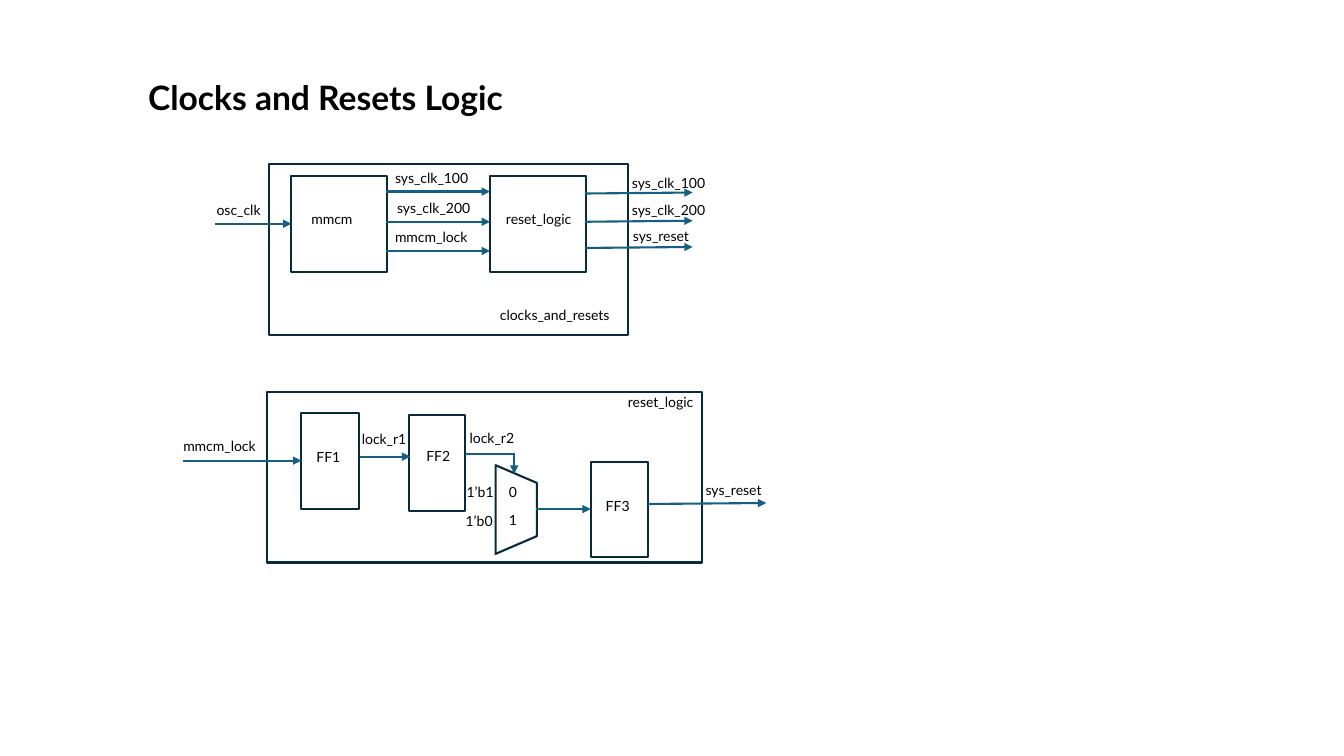
from dataclasses import dataclass

from lxml import etree
from pptx import Presentation
from pptx.dml.color import RGBColor
from pptx.enum.shapes import MSO_CONNECTOR, MSO_SHAPE
from pptx.enum.text import MSO_AUTO_SIZE
from pptx.oxml.ns import qn
from pptx.slide import Slide
from pptx.util import Emu, Pt

RECT = MSO_SHAPE.RECTANGLE
MUX = MSO_SHAPE.FLOWCHART_MANUAL_OPERATION
STRAIGHT = MSO_CONNECTOR.STRAIGHT
FIT_TEXT = MSO_AUTO_SIZE.SHAPE_TO_FIT_TEXT
PX = 9144
FONT = "Lato"
INK, OUTLINE, WIRE = "000000", "092A39", "156082"
LINE_PT = 1.5


@dataclass(frozen=True)
class Block:
    x: int
    y: int
    w: int
    h: int
    kind: MSO_SHAPE = RECT
    rotation: int = 0


@dataclass(frozen=True)
class Wire:
    x1: int
    y1: int
    x2: int
    y2: int
    arrow: bool = True


@dataclass(frozen=True)
class Label:
    text: str
    x: int
    y: int
    w: int
    h: int = 27
    size: int = 10
    bold: bool = False


BLOCKS = [
    Block(289, 175, 95, 95),
    Block(486, 175, 95, 95),
    Block(267, 163, 356, 169),
    Block(299, 410, 57, 95),
    Block(406, 412, 55, 95),
    Block(586, 458, 57, 95),
    Block(265, 389, 431, 169),
    Block(468, 485, 88, 41, MUX, 270),
]

WIRES = [
    Wire(213, 222, 289, 222),
    *(Wire(383, y, 486, y) for y in (190, 220, 249)),
    *(Wire(580, y, 687, y - 1) for y in (192, 220, 246)),
    Wire(182, 457, 299, 457),
    Wire(357, 453, 407, 453),
    Wire(461, 450, 511, 450, arrow=False),
    Wire(510, 450, 510, 470),
    Wire(532, 505, 586, 505),
    Wire(642, 500, 760, 499),
]

LABELS = [
    Label("Clocks and Resets Logic", 137, 71, 411, 50, 24, True),
    Label("osc_clk", 205, 195, 77),
    Label("mmcm", 299, 204, 77),
    Label("sys_clk_100", 382, 163, 97),
    Label("sys_clk_200", 384, 193, 97),
    Label("mmcm_lock", 382, 222, 97),
    Label("reset_logic", 492, 204, 88),
    Label("sys_clk_100", 617, 168, 97),
    Label("sys_clk_200", 617, 195, 97),
    Label("sys_reset", 618, 221, 97),
    Label("clocks_and_resets", 486, 299, 135),
    Label("reset_logic", 613, 385, 88),
    Label("mmcm_lock", 172, 429, 97),
    Label("FF1", 304, 440, 46),
    Label("lock_r1", 349, 422, 72),
    Label("FF2", 413, 439, 46),
    Label("lock_r2", 456, 421, 72),
    Label("1’b1", 453, 475, 49),
    Label("1’b0", 452, 504, 49),
    Label("0", 495, 475, 27),
    Label("1", 495, 503, 27),
    Label("FF3", 591, 489, 46),
    Label("sys_reset", 690, 473, 97),
]


def px(n: int) -> Emu:
    """Convert whole px to EMU."""
    return Emu(n * PX)


def color(value: str) -> RGBColor:
    """Convert a hex string to a colour."""
    return RGBColor.from_string(value)


def draw_block(s: Slide, b: Block) -> None:
    """Draw an outlined, unfilled block."""
    sp = s.shapes.add_shape(b.kind, px(b.x), px(b.y), px(b.w), px(b.h))
    sp.rotation = b.rotation
    sp.shadow.inherit = False
    sp.fill.background()
    sp.line.color.rgb = color(OUTLINE)
    sp.line.width = Pt(LINE_PT)


def draw_wire(s: Slide, w: Wire) -> None:
    """Draw a straight signal wire, with an arrowhead if asked."""
    cxn = s.shapes.add_connector(STRAIGHT, px(w.x1), px(w.y1), px(w.x2), px(w.y2))
    cxn.line.color.rgb = color(WIRE)
    cxn.line.width = Pt(LINE_PT)
    if w.arrow:
        etree.SubElement(cxn.line._get_or_add_ln(), qn("a:tailEnd"), type="triangle")
    etree.SubElement(cxn._element.spPr, qn("a:effectLst"))


def draw_label(s: Slide, label: Label) -> None:
    """Draw a left-aligned text label."""
    box = s.shapes.add_textbox(px(label.x), px(label.y), px(label.w), px(label.h))
    tf = box.text_frame
    tf.word_wrap = True
    tf.auto_size = FIT_TEXT
    p = tf.paragraphs[0]
    p.text = label.text
    p.font.name = FONT
    p.font.size = Pt(label.size)
    p.font.bold = label.bold
    p.font.color.rgb = color(INK)


def main() -> None:
    """Build the clocks and resets slide."""
    prs = Presentation()
    prs.slide_width, prs.slide_height = px(1333), px(750)
    s = prs.slides.add_slide(prs.slide_layouts[6])
    for block in BLOCKS:
        draw_block(s, block)
    for wire in WIRES:
        draw_wire(s, wire)
    for label in LABELS:
        draw_label(s, label)
    prs.save("out.pptx")


if __name__ == "__main__":
    main()
